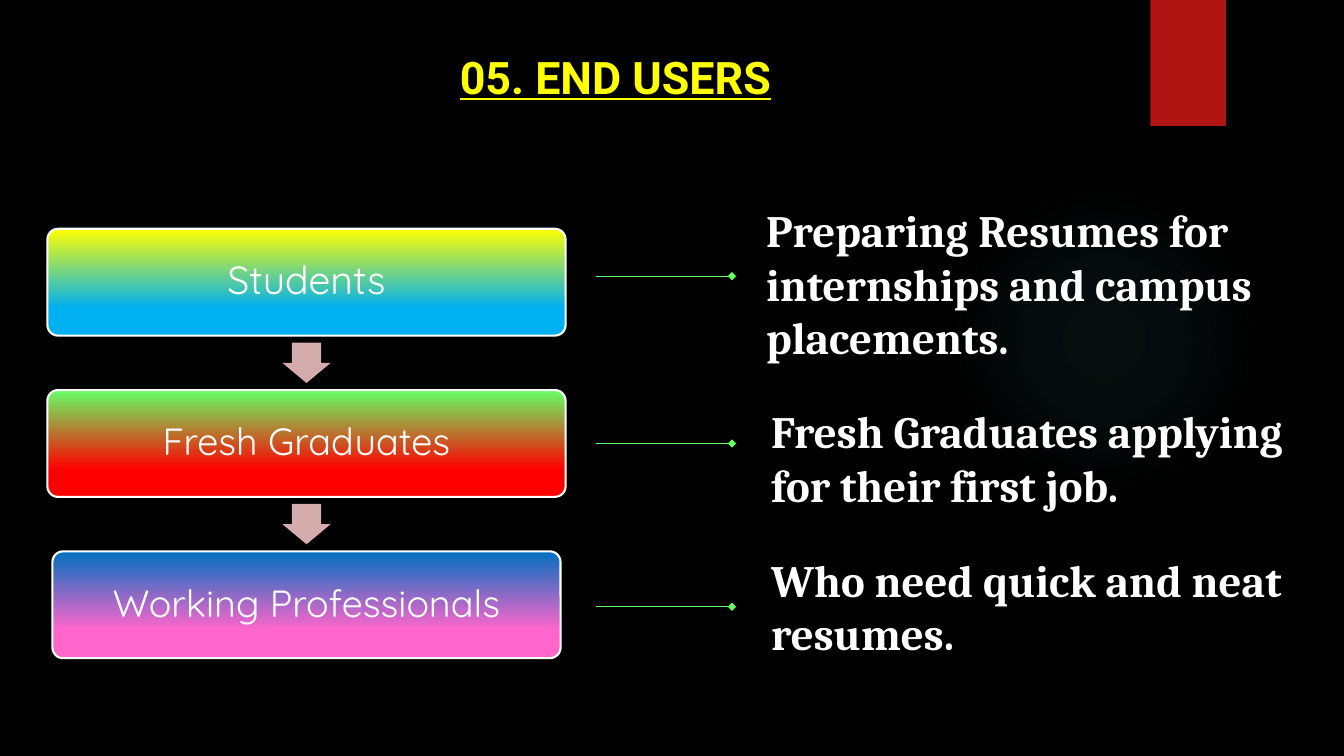
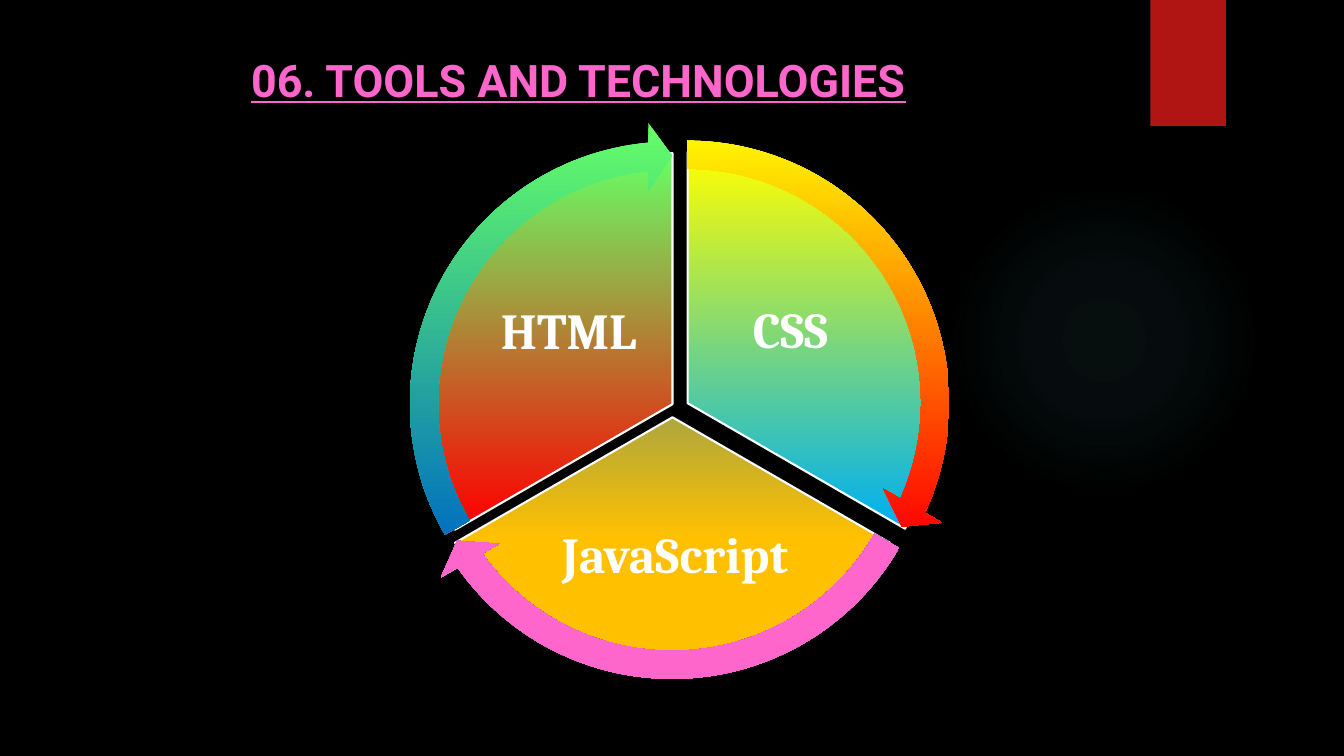
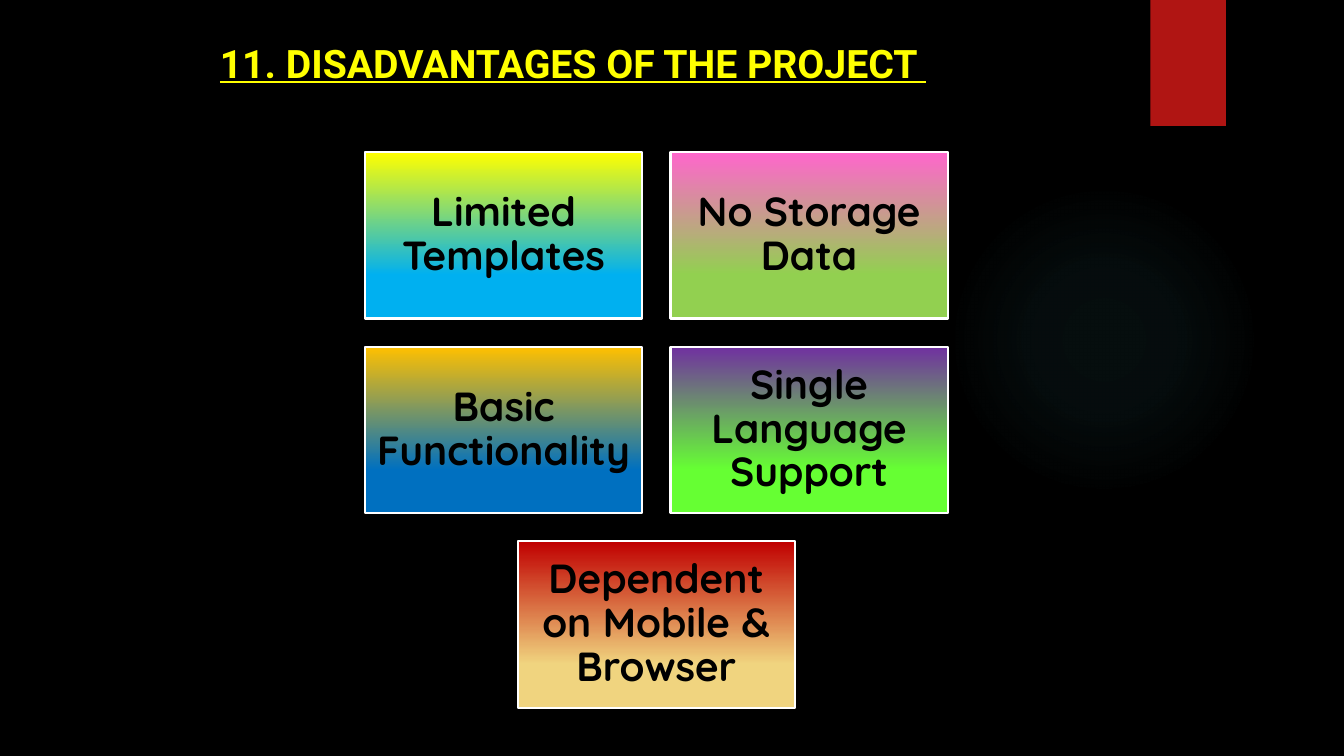
"""Build three dark slides: end users, tools and technologies, disadvantages."""
from pptx import Presentation
from pptx.dml.color import RGBColor
from pptx.enum.shapes import MSO_CONNECTOR as Connector, MSO_SHAPE as Shape
from pptx.enum.text import MSO_ANCHOR as Anchor, MSO_AUTO_SIZE as AutoSize, PP_ALIGN as Align
from pptx.oxml import parse_xml
from pptx.oxml.ns import nsdecls, qn
from pptx.util import Inches, Pt

BLACK = RGBColor(0x00, 0x00, 0x00)
WHITE = RGBColor(0xFF, 0xFF, 0xFF)
CRIMSON = RGBColor(0xB0, 0x15, 0x13)
YELLOW = RGBColor(0xFF, 0xFF, 0x00)
SKY = RGBColor(0x00, 0xB0, 0xF0)
MINT = RGBColor(0x66, 0xFF, 0x66)
RED = RGBColor(0xFF, 0x00, 0x00)
BLUE = RGBColor(0x00, 0x70, 0xC0)
PINK = RGBColor(0xFF, 0x66, 0xCC)
AMBER = RGBColor(0xFF, 0xC0, 0x00)
LEAF = RGBColor(0x92, 0xD0, 0x50)
PURPLE = RGBColor(0x70, 0x30, 0xA0)
LIME = RGBColor(0x66, 0xFF, 0x33)
MAROON = RGBColor(0xC0, 0x00, 0x00)
SAND = RGBColor(0xF0, 0xD4, 0x7F)
ROSE = RGBColor(0xD4, 0xAC, 0xAB)

TITLE_FONT = {"name": "Roboto", "bold": True, "underline": True}
SERIF_FONT = {"name": "Cambria", "bold": True}
STEP_FONT = {"name": "Quicksand", "bold": False}
CARD_FONT = {"name": "Quicksand", "bold": True, "size": Pt(29)}
LEFT_TEXT = {"alignment": Align.LEFT}
CENTRED_TEXT = {"alignment": Align.CENTER, "line_spacing": 0.9}


def write_text(shape, text, font_format, color, paragraph_format, anchor):
    """Put one formatted paragraph into a shape."""
    frame = shape.text_frame
    frame.text = text
    frame.word_wrap = True
    frame.auto_size = AutoSize.NONE
    frame.vertical_anchor = anchor
    paragraph = frame.paragraphs[0]
    for name, value in paragraph_format.items():
        setattr(paragraph, name, value)
    font = paragraph.runs[0].font
    for name, value in font_format.items():
        setattr(font, name, value)
    font.color.rgb = color


def add_gradient_shape(slide, kind, box, colors, outlined=True, adjustments=()):
    """Add a preset shape that fades from the first colour down to the second."""
    shape = slide.shapes.add_shape(kind, *map(Inches, box))
    shape.shadow.inherit = False
    for index, value in enumerate(adjustments):
        shape.adjustments[index] = value
    shape.fill.gradient()
    shape.fill.gradient_angle = 270
    for stop, position, color in zip(shape.fill.gradient_stops, (0, 0.74), colors):
        stop.position = position
        stop.color.rgb = color
    if outlined:
        shape.line.color.rgb = WHITE
        shape.line.width = Pt(1.5)
    else:
        shape.line.fill.background()
    return shape


presentation = Presentation()
presentation.slide_width = Inches(13.33)
presentation.slide_height = Inches(7.5)
master = presentation.slide_master
master.background.fill.solid()
master.background.fill.fore_color.rgb = BLACK

titles = [
    ("05. END USERS", 4.46, 0.44, 32, YELLOW),
    ("06. TOOLS AND TECHNOLOGIES", 2.39, 0.47, 32, PINK),
    ("11. DISADVANTAGES OF THE PROJECT ", 2.08, 0.34, 28, YELLOW),
]
slides = []
for text, left, top, size, color in titles:
    slide = presentation.slides.add_slide(presentation.slide_layouts[5])
    title = slide.shapes.title
    title.left, title.top = Inches(left), Inches(top)
    title.width, title.height = Inches(8.5), Inches(0.64)
    write_text(title, text, {**TITLE_FONT, "size": Pt(size)}, color, LEFT_TEXT, Anchor.TOP)
    slides.append(slide)
users_slide, tools_slide, drawbacks_slide = slides

halo = users_slide.shapes.add_shape(Shape.OVAL, Inches(9.41), Inches(1.83), Inches(3.08), Inches(3.08))
halo.fill.background()
glow_stops = "".join(
    f'<a:gs pos="{position}000"><a:srgbClr val="50B9C1"><a:alpha val="{alpha}000"/></a:srgbClr></a:gs>'
    for position, alpha in ((0, 7), (36, 6), (69, 0))
)
glow = parse_xml(
    f'<a:gradFill {nsdecls("a")}><a:gsLst>{glow_stops}</a:gsLst><a:path path="circle">'
    '<a:fillToRect l="50000" t="50000" r="50000" b="50000"/></a:path></a:gradFill>'
)
halo_properties = halo.element.spPr
halo_properties.replace(halo_properties.find(qn("a:noFill")), glow)

ribbon = users_slide.shapes.add_shape(Shape.RECTANGLE, Inches(11.41), 0, Inches(0.75), Inches(1.25))
ribbon.fill.solid()
ribbon.fill.fore_color.rgb = CRIMSON

for index, decoration in enumerate((halo, ribbon)):
    decoration.shadow.inherit = False
    decoration.line.fill.background()
    decoration.element.xpath(".//p:cNvPr")[0].set("id", str(100 + index))
    master.shapes.element.insert(2 + index, decoration.element)

STEP_CENTER, STEP_TOP, STEP_PITCH = 3.04, 2.27, 1.6
steps = [
    ("Students", 5.14, 28, (YELLOW, SKY)),
    ("Fresh Graduates", 5.14, 27, (MINT, RED)),
    ("Working Professionals", 5.04, 27, (BLUE, PINK)),
]
for index, (text, width, size, colors) in enumerate(steps):
    top = STEP_TOP + index * STEP_PITCH
    box = (STEP_CENTER - width / 2, top, width, 1.06)
    step = add_gradient_shape(users_slide, Shape.ROUNDED_RECTANGLE, box, colors, adjustments=[0.1])
    write_text(step, text, {**STEP_FONT, "size": Pt(size)}, WHITE, CENTRED_TEXT, Anchor.MIDDLE)
    if index < len(steps) - 1:
        arrow = users_slide.shapes.add_shape(
            Shape.DOWN_ARROW, Inches(STEP_CENTER - 0.24), Inches(top + 1.13), Inches(0.48), Inches(0.4)
        )
        arrow.adjustments[0] = 0.6
        arrow.shadow.inherit = False
        arrow.fill.solid()
        arrow.fill.fore_color.rgb = ROSE
        arrow.line.fill.background()

needs = [
    ("Preparing Resumes for internships and campus placements.", 2.74, (7.5, 1.96, 5.47, 1.72)),
    ("Fresh Graduates applying for their first job.", 4.4, (7.55, 3.96, 5.78, 1.18)),
    ("Who need quick and neat resumes.", 6.02, (7.55, 5.43, 5.39, 1.18)),
]
for text, line_top, box in needs:
    pointer = users_slide.shapes.add_connector(
        Connector.STRAIGHT, Inches(5.91), Inches(line_top), Inches(7.26), Inches(line_top)
    )
    pointer.line.color.rgb = MINT
    pointer.line.width = Pt(0.75)
    pointer.line._get_or_add_ln().append(parse_xml(f'<a:tailEnd {nsdecls("a")} type="diamond"/>'))
    pointer.element.spPr.append(parse_xml(f'<a:effectLst {nsdecls("a")}/>'))
    need = users_slide.shapes.add_textbox(*map(Inches, box))
    write_text(need, text, {**SERIF_FONT, "size": Pt(32)}, WHITE, LEFT_TEXT, Anchor.TOP)

sectors = [
    ("CSS", (4.33, 1.51), (162, 18), (YELLOW, SKY), (6.95, 2.56, 1.78, 1.48)),
    ("JavaScript", (4.18, 1.65), (18, 90), (BLUE, AMBER), (5.36, 4.88, 2.67, 1.3)),
    ("HTML", (4.18, 1.52), (90, 162), (MINT, RED), (4.75, 2.57, 1.78, 1.48)),
]
for text, corner, angles, colors, label_box in sectors:
    add_gradient_shape(tools_slide, Shape.PIE, (*corner, 4.98, 4.98), colors, adjustments=angles)
    label = tools_slide.shapes.add_textbox(*map(Inches, label_box))
    write_text(label, text, {**SERIF_FONT, "size": Pt(36)}, WHITE, CENTRED_TEXT, Anchor.MIDDLE)

arcs = [
    ((4.02, 1.2), (14.73, 161.99), (YELLOW, RED)),
    ((3.87, 1.34), (86.72, 18.01), (SKY, PINK)),
    ((3.87, 1.21), (158.73, 90), (MINT, BLUE)),
]
for corner, angles, colors in arcs:
    add_gradient_shape(
        tools_slide, Shape.CIRCULAR_ARROW, (*corner, 5.59, 5.59), colors,
        outlined=False, adjustments=(0.05, 3.28, *angles, 0.06),
    )

CARD_WIDTH, CARD_HEIGHT, CARD_GAP = 2.75, 1.65, 0.28
CARDS_CENTER, CARDS_TOP = 6.51, 1.51
card_rows = [
    [("Limited Templates", (YELLOW, SKY)), ("No Storage Data", (PINK, LEAF))],
    [("Basic Functionality", (AMBER, BLUE)), ("Single Language Support", (PURPLE, LIME))],
    [("Dependent on Mobile & Browser", (MAROON, SAND))],
]
for row, cards in enumerate(card_rows):
    row_width = len(cards) * (CARD_WIDTH + CARD_GAP) - CARD_GAP
    for column, (text, colors) in enumerate(cards):
        left = CARDS_CENTER - row_width / 2 + column * (CARD_WIDTH + CARD_GAP)
        top = CARDS_TOP + row * (CARD_HEIGHT + CARD_GAP)
        card = add_gradient_shape(
            drawbacks_slide, Shape.RECTANGLE, (left, top, CARD_WIDTH, CARD_HEIGHT), colors
        )
        write_text(card, text, CARD_FONT, BLACK, CENTRED_TEXT, Anchor.MIDDLE)

presentation.save("out.pptx")
